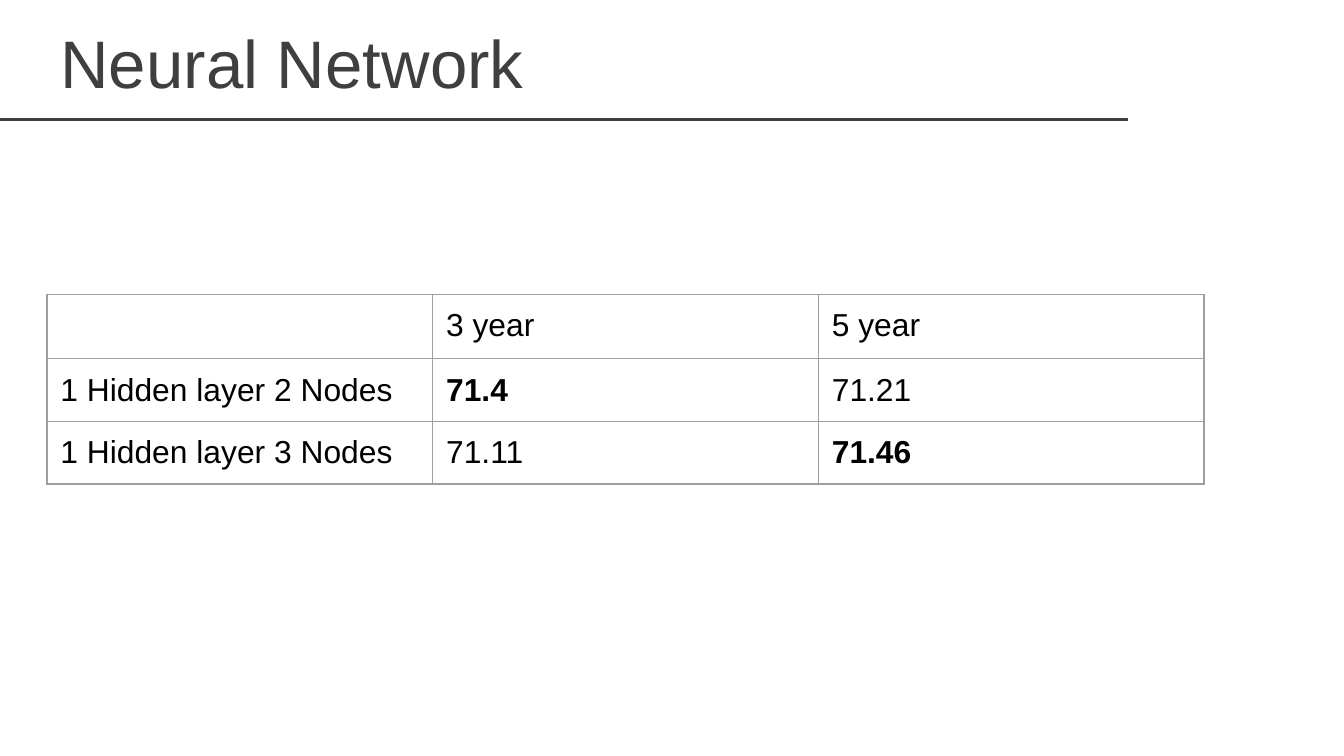
from dataclasses import dataclass

import lxml.etree
import pptx
import pptx.dml.color
import pptx.enum.shapes
import pptx.enum.text
import pptx.oxml.ns
import pptx.util

Inches = pptx.util.Inches
Pt = pptx.util.Pt
RGBColor = pptx.dml.color.RGBColor


@dataclass(frozen=True)
class Theme:
    font: str = "Arial"
    background: str = "FFFFFF"
    heading: str = "3F3F3F"
    body: str = "000000"
    border: str = "9E9E9E"
    title_size: float = 36
    table_size: float = 17
    rule_width: float = 1.5
    border_width: float = 0.75


THEME = Theme()
HEADER = ["", "3 year", "5 year"]
RESULTS = [
    ["1 Hidden layer 2 Nodes", "71.4", "71.21"],
    ["1 Hidden layer 3 Nodes", "71.11", "71.46"],
]
ROW_HEIGHTS = [0.48, 0.42, 0.42]


def style_font(font, size, color, bold=False):
    font.name = THEME.font
    font.size = Pt(size)
    font.bold = bold
    font.color.rgb = RGBColor.from_string(color)


def add_heading(slide, text, left, top, width, height):
    title = slide.shapes.title
    title.left, title.top = Inches(left), Inches(top)
    title.width, title.height = Inches(width), Inches(height)
    frame = title.text_frame
    frame.text = text
    frame.word_wrap = True
    frame.auto_size = pptx.enum.text.MSO_AUTO_SIZE.NONE
    frame.vertical_anchor = pptx.enum.text.MSO_ANCHOR.MIDDLE
    paragraph = frame.paragraphs[0]
    paragraph.alignment = pptx.enum.text.PP_ALIGN.LEFT
    paragraph.space_before = Pt(7.2)
    style_font(paragraph.font, THEME.title_size, THEME.heading)

    rule_y = Inches(top + height + 0.12)
    rule = slide.shapes.add_connector(
        pptx.enum.shapes.MSO_CONNECTOR.STRAIGHT,
        Inches(-0.01), rule_y, Inches(left + width + 0.01), rule_y)
    rule.line.color.rgb = RGBColor.from_string(THEME.heading)
    rule.line.width = Pt(THEME.rule_width)
    lxml.etree.SubElement(rule._element.spPr, pptx.oxml.ns.qn("a:effectLst"))


def add_borders(cell):
    qn = pptx.oxml.ns.qn
    properties = cell._tc.get_or_add_tcPr()
    # Borders must come before the fill in a:tcPr.
    for position, side in enumerate(("a:lnL", "a:lnR", "a:lnT", "a:lnB")):
        border = lxml.etree.Element(qn(side), w=str(Pt(THEME.border_width)))
        fill = lxml.etree.SubElement(border, qn("a:solidFill"))
        lxml.etree.SubElement(fill, qn("a:srgbClr"), val=THEME.border)
        properties.insert(position, border)


def style_cell(cell, text, bold):
    cell.text = text
    cell.fill.background()
    cell.margin_left = cell.margin_right = Inches(0.1)
    cell.margin_top = cell.margin_bottom = Inches(0.1)
    style_font(cell.text_frame.paragraphs[0].font,
               THEME.table_size, THEME.body, bold)
    add_borders(cell)


def add_results_table(slide, left, top, width):
    """Show the results, with the best value of each year in bold."""
    rows = [HEADER] + RESULTS
    best = [None] + [max(column, key=float)
                     for column in list(zip(*RESULTS))[1:]]
    table = slide.shapes.add_table(
        len(rows), len(HEADER), Inches(left), Inches(top),
        Inches(width), Inches(sum(ROW_HEIGHTS))).table
    table.first_row = table.horz_banding = False
    for column in table.columns:
        column.width = Inches(width / len(HEADER))
    for row, height, values in zip(table.rows, ROW_HEIGHTS, rows):
        row.height = Inches(height)
        for cell, value, top_value in zip(row.cells, values, best):
            style_cell(cell, value, value == top_value)


def main():
    presentation = pptx.Presentation()
    presentation.slide_width = Inches(10)
    presentation.slide_height = presentation.slide_width * 9 // 16
    slide = presentation.slides.add_slide(presentation.slide_layouts[5])
    slide.background.fill.solid()
    slide.background.fill.fore_color.rgb = RGBColor.from_string(
        THEME.background)
    add_heading(slide, "Neural Network", 0.35, 0.14, 8.03, 0.63)
    add_results_table(slide, 0.35, 2.19, 8.61)
    presentation.save("out.pptx")


if __name__ == "__main__":
    main()
